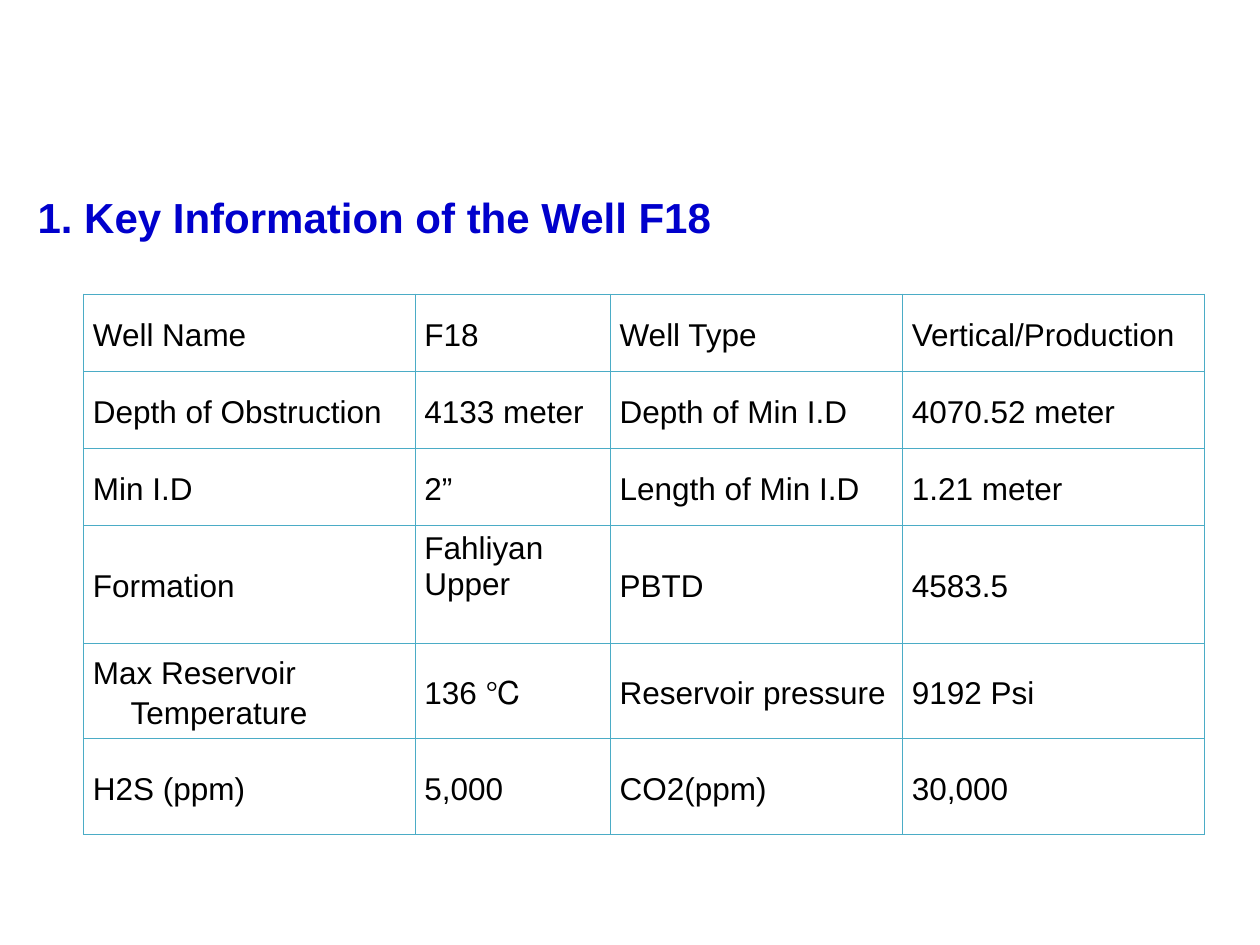
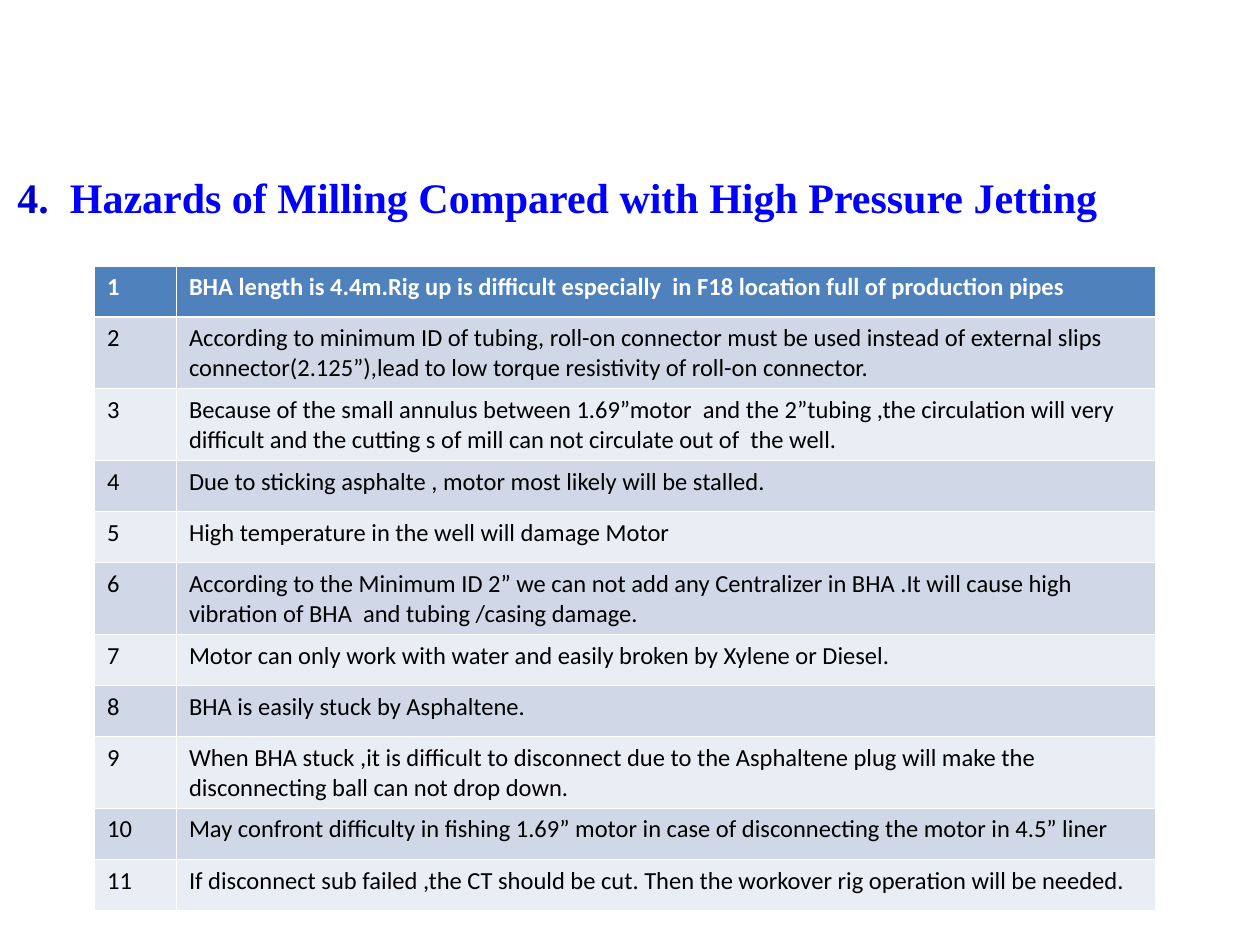
from lxml.etree import SubElement
from pptx import Presentation
from pptx.dml.color import RGBColor
from pptx.enum.text import MSO_ANCHOR, MSO_AUTO_SIZE
from pptx.oxml.ns import qn
from pptx.util import Pt

NAVY = RGBColor(0x00, 0x00, 0xCC)
BLUE = RGBColor(0x00, 0x00, 0xFF)
TEAL = RGBColor(0x4B, 0xAC, 0xC6)
STEEL = RGBColor(0x4F, 0x81, 0xBD)
MIST = RGBColor(0xD0, 0xD8, 0xE8)
PALE = RGBColor(0xE9, 0xED, 0xF4)
WHITE = RGBColor(0xFF, 0xFF, 0xFF)
BLACK = RGBColor(0x00, 0x00, 0x00)

THIN, THICK = 0.45, 1.5
LONG, SHORT = 41, 29.2

WELL = [
    ("Well Name", "F18", "Well Type", "Vertical/Production"),
    ("Depth of Obstruction", "4133 meter", "Depth of Min I.D", "4070.52 meter"),
    ("Min I.D", "2”", "Length of Min I.D", "1.21 meter"),
    ("Formation", "Fahliyan Upper", "PBTD", "4583.5"),
    ("Max Reservoir Temperature", "136 ℃", "Reservoir pressure", "9192 Psi"),
    ("H2S (ppm)", "5,000", "CO2(ppm)", "30,000"),
]
RISKS = [
    ("BHA length is 4.4m.Rig up is difficult especially  in F18 location full of "
     "production pipes", SHORT),
    ("According to minimum ID of tubing, roll-on connector must be used instead of "
     "external slips connector(2.125”),lead to low torque resistivity of roll-on "
     "connector.", LONG),
    ("Because of the small annulus between 1.69”motor  and the 2”tubing ,the "
     "circulation will very difficult and the cutting s of mill can not circulate "
     "out of  the well.", LONG),
    ("Due to sticking asphalte , motor most likely will be stalled.", SHORT),
    ("High temperature in the well will damage Motor", SHORT),
    ("According to the Minimum ID 2” we can not add any Centralizer in BHA .It will "
     "cause high vibration of BHA  and tubing /casing damage.", LONG),
    ("Motor can only work with water and easily broken by Xylene or Diesel.", SHORT),
    ("BHA is easily stuck by Asphaltene.", SHORT),
    ("When BHA stuck ,it is difficult to disconnect due to the Asphaltene plug will "
     "make the disconnecting ball can not drop down.", LONG),
    ("May confront difficulty in fishing 1.69” motor in case of disconnecting the "
     "motor in 4.5” liner", SHORT),
    ("If disconnect sub failed ,the CT should be cut. Then the workover rig operation "
     "will be needed.", SHORT),
]


def apply(item, style):
    for key, value in style.items():
        setattr(item, key, value)


class Deck:
    head = {"size": Pt(24), "bold": True}

    def __init__(self):
        self.show = Presentation()
        apply(self.show, {"slide_width": Pt(720), "slide_height": Pt(540)})
        self.slide = None

    def page(self):
        self.slide = self.show.slides.add_slide(self.show.slide_layouts[6])

    def label(self, para, text, color, style):
        run = para.add_run()
        run.text = text
        apply(run.font, style)
        run.font.color.rgb = color

    def hang(self, para, size):
        props = para._p.get_or_add_pPr()
        props.set("marL", str(Pt(size)))
        props.set("indent", str(-Pt(size)))

    def title(self, left, top, width, parts, font, hang=0):
        box = self.slide.shapes.add_textbox(Pt(left), Pt(top), Pt(width), Pt(36))
        apply(box.text_frame, {"word_wrap": True,
                               "auto_size": MSO_AUTO_SIZE.SHAPE_TO_FIT_TEXT})
        para = box.text_frame.paragraphs[0]
        if hang:
            self.hang(para, hang)
        for text, color in parts:
            self.label(para, text, color, {**self.head, "name": font})

    def table(self, left, top, widths, heights):
        frame = self.slide.shapes.add_table(
            len(heights), len(widths), Pt(left), Pt(top),
            Pt(sum(widths)), Pt(sum(heights)))
        grid = frame.table
        apply(grid, {"first_row": False, "horz_banding": False})
        for col, width in zip(grid.columns, widths):
            col.width = Pt(width)
        for row, height in zip(grid.rows, heights):
            row.height = Pt(height)
        return grid

    def edge(self, cell, color, **sizes):
        props = cell._tc.get_or_add_tcPr()
        for side in "LRTB":
            line = SubElement(props, qn(f"a:ln{side}"),
                              w=str(Pt(sizes.get(side, THIN))))
            fill = SubElement(line, qn("a:solidFill"))
            SubElement(fill, qn("a:srgbClr"), val=str(color))

    def cell(self, cell, text, color, font, box, fill=None):
        apply(cell, box)
        if fill is None:
            cell.fill.background()
        else:
            cell.fill.solid()
            cell.fill.fore_color.rgb = fill
        para = cell.text_frame.paragraphs[0]
        self.label(para, text, color, font)
        return para


def well(deck):
    deck.page()
    grid = deck.table(47.7, 168, [189.4, 111.6, 167, 172.8],
                      [44, 44, 44, 67.4, 54.8, 54.8])
    font = {"name": "Arial", "size": Pt(18)}
    box = {"margin_left": Pt(5.4), "margin_right": Pt(5.4)}
    for r, row in enumerate(WELL):
        for c, text in enumerate(row):
            cell = grid.cell(r, c)
            deck.edge(cell, TEAL)
            high = text == "Fahliyan Upper"
            spot = MSO_ANCHOR.TOP if high else MSO_ANCHOR.MIDDLE
            para = deck.cell(cell, text, BLACK, font,
                             {**box, "vertical_anchor": spot})
            if not high:
                deck.hang(para, 21.6)
                para.line_spacing = 1.15
    deck.title(14.4, 105.8, 683, [("1. Key Information of the Well F18", NAVY)], "Arial")


def risks(deck):
    deck.page()
    deck.title(2.9, 94.3, 717, [
        ("4.\t", NAVY),
        ("Hazards of Milling Compared with High Pressure Jetting", BLUE),
    ], "Times New Roman", hang=30)
    grid = deck.table(54, 152, [46.8, 559.4], [height for _, height in RISKS])
    for r, (risk, _) in enumerate(RISKS):
        top = r == 0
        fill = STEEL if top else (PALE, MIST)[r % 2]
        font = {"name": "Calibri", "size": Pt(14), "bold": top}
        sizes = {0: {"B": THICK}, 1: {"T": THICK}}.get(r, {})
        for c, text in enumerate((str(r + 1), risk)):
            cell = grid.cell(r, c)
            deck.edge(cell, WHITE, **sizes)
            deck.cell(cell, text, WHITE if top else BLACK, font,
                      {"vertical_anchor": MSO_ANCHOR.TOP}, fill)


def main():
    deck = Deck()
    well(deck)
    risks(deck)
    deck.show.save("out.pptx")


if __name__ == "__main__":
    main()
